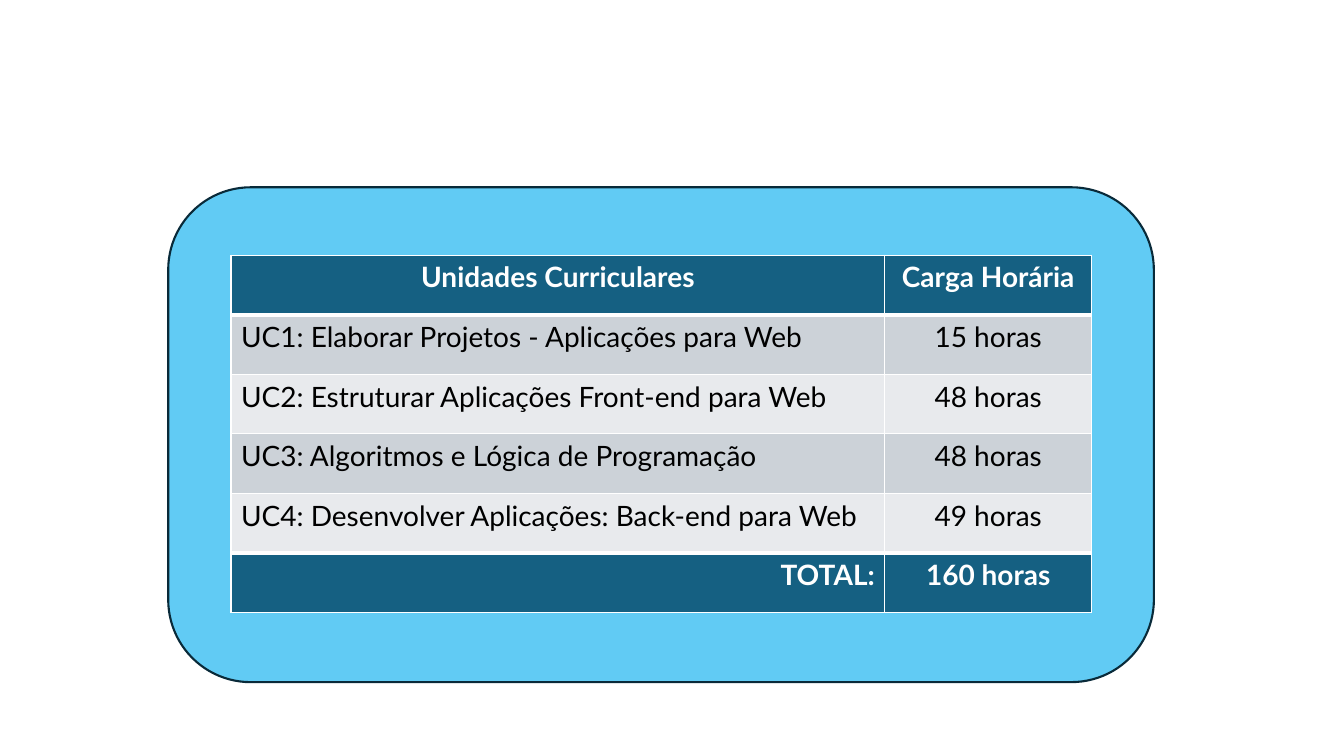
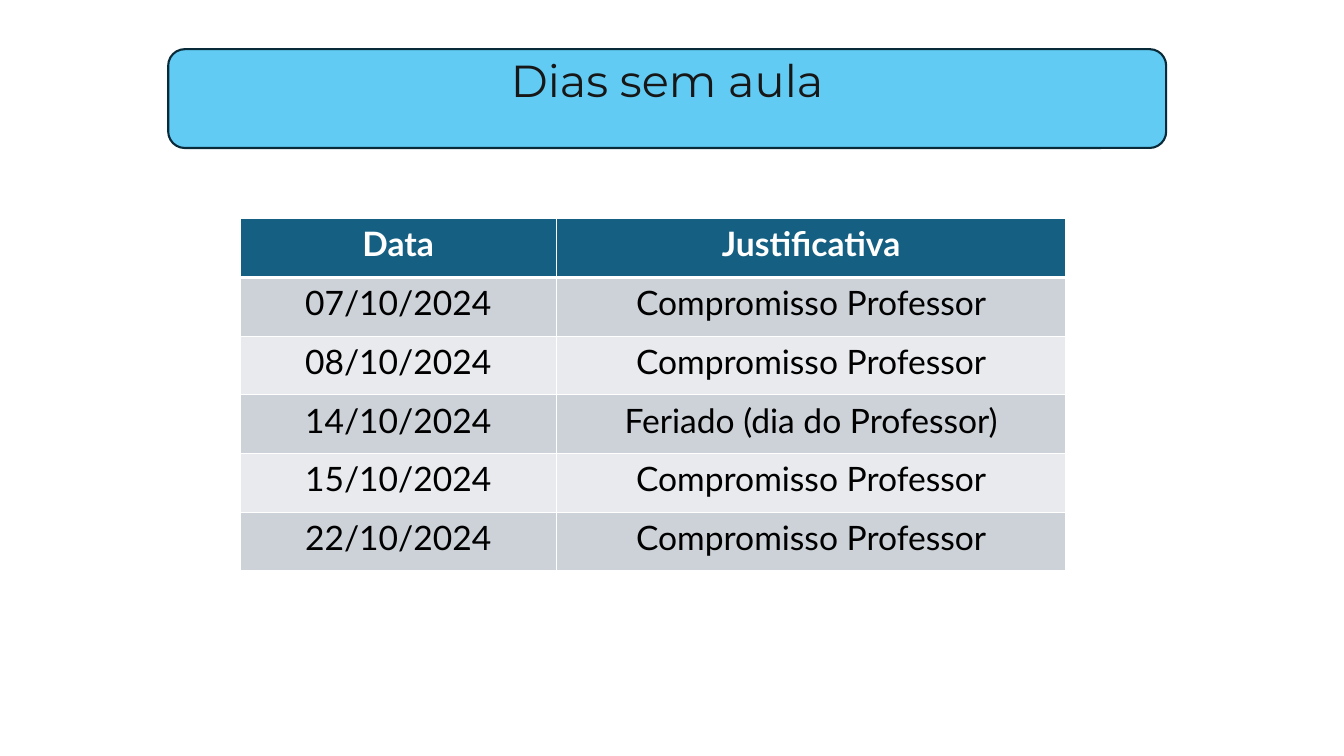
"""Build two course slides: curricular units with their hours, and days without class."""
from lxml.etree import SubElement
from pptx import Presentation
from pptx.dml.color import RGBColor
from pptx.enum.shapes import MSO_SHAPE
from pptx.enum.text import MSO_ANCHOR, MSO_AUTO_SIZE, PP_ALIGN
from pptx.oxml.ns import qn
from pptx.util import Cm, Pt

COLORS = {
    "panel": "61CBF4",
    "outline": "092A39",
    "header": "156082",
    "odd": "CCD2D8",
    "even": "E8EAED",
    "white": "FFFFFF",
    "black": "000000",
    "title": "171717",
}
TITLE_LAYOUT, BLANK_LAYOUT = 5, 6
PANEL_LEFT = 4.24
THIN, THICK = 1, 3

SLIDES = [
    {
        "title": None,
        "panel": (PANEL_LEFT, 4.72, 24.84, 12.47),
        "origin": (5.82, 6.43),
        "columns": (16.48, 5.21),
        "row_height": 1.5,
        "size": 20,
        "first_align": PP_ALIGN.LEFT,
        "has_total": True,
        "rows": [
            ("Unidades Curriculares", "Carga Horária"),
            ("UC1: Elaborar Projetos - Aplicações para Web", "15 horas"),
            ("UC2: Estruturar Aplicações Front-end para Web", "48 horas"),
            ("UC3: Algoritmos e Lógica de Programação", "48 horas"),
            ("UC4: Desenvolver Aplicações: Back-end para Web", "49 horas"),
            ("TOTAL:", "160 horas"),
        ],
    },
    {
        "title": "Dias sem aula",
        "panel": (PANEL_LEFT, 1.24, 25.15, 2.49),
        "origin": (6.05, 5.51),
        "columns": (7.97, 12.84),
        "row_height": 1.48,
        "size": 24,
        "first_align": PP_ALIGN.CENTER,
        "has_total": False,
        "rows": [
            ("Data", "Justificativa"),
            ("07/10/2024", "Compromisso Professor"),
            ("08/10/2024", "Compromisso Professor"),
            ("14/10/2024", "Feriado (dia do Professor)"),
            ("15/10/2024", "Compromisso Professor"),
            ("22/10/2024", "Compromisso Professor"),
        ],
    },
]


def write_text(frame, text, *, size, font="Lato", color="black", bold=False, align=PP_ALIGN.CENTER):
    paragraph = frame.paragraphs[0]
    paragraph.alignment = align
    span = paragraph.add_run()
    span.text = text
    span.font.name = font
    span.font.size = Pt(size)
    span.font.bold = bold
    span.font.color.rgb = RGBColor.from_string(COLORS[color])


def add_borders(cell, *, top=THIN, bottom=THIN):
    properties = cell._tc.get_or_add_tcPr()
    for side, width in (("lnL", THIN), ("lnR", THIN), ("lnT", top), ("lnB", bottom)):
        line = SubElement(properties, qn(f"a:{side}"), w=str(Pt(width)))
        fill = SubElement(line, qn("a:solidFill"))
        SubElement(fill, qn("a:srgbClr"), val=COLORS["white"])


deck = Presentation()
deck.slide_width, deck.slide_height = Cm(33.87), Cm(19.05)

for content in SLIDES:
    layout = TITLE_LAYOUT if content["title"] else BLANK_LAYOUT
    page = deck.slides.add_slide(deck.slide_layouts[layout])

    panel = page.shapes.add_shape(MSO_SHAPE.ROUNDED_RECTANGLE, *map(Cm, content["panel"]))
    panel.shadow.inherit = False
    panel.fill.solid()
    panel.fill.fore_color.rgb = RGBColor.from_string(COLORS["panel"])
    panel.line.color.rgb = RGBColor.from_string(COLORS["outline"])
    panel.line.width = Pt(1.5)

    if content["title"]:
        title = page.shapes.title
        panel._element.addnext(title._element)
        title.left, title.top, title.width, title.height = map(Cm, (PANEL_LEFT, 1.19, 25.15, 1.63))
        title.text_frame.auto_size = MSO_AUTO_SIZE.NONE
        title.text_frame.vertical_anchor = MSO_ANCHOR.TOP
        write_text(title.text_frame, content["title"], size=32, font="Montserrat", color="title")

    rows, columns = content["rows"], content["columns"]
    last = len(rows) - 1
    table = page.shapes.add_table(
        len(rows), len(columns), *map(Cm, content["origin"]),
        Cm(sum(columns)), Cm(content["row_height"] * len(rows)),
    ).table
    for column, width in zip(table.columns, columns):
        column.width = Cm(width)

    for row_index, texts in enumerate(rows):
        table.rows[row_index].height = Cm(content["row_height"])
        is_total = content["has_total"] and row_index == last
        strong = row_index == 0 or is_total
        fill_name = "header" if strong else ("even", "odd")[row_index % 2]
        above_total = content["has_total"] and row_index == last - 1
        for column_index, text in enumerate(texts):
            cell = table.cell(row_index, column_index)
            add_borders(
                cell,
                top=THICK if row_index == 1 or is_total else THIN,
                bottom=THICK if row_index == 0 or above_total else THIN,
            )
            cell.fill.solid()
            cell.fill.fore_color.rgb = RGBColor.from_string(COLORS[fill_name])
            align = PP_ALIGN.CENTER
            if column_index == 0 and row_index > 0:
                align = PP_ALIGN.RIGHT if is_total else content["first_align"]
            write_text(
                cell.text_frame, text, size=content["size"], bold=strong,
                color="white" if strong else "black", align=align,
            )

deck.save("out.pptx")
